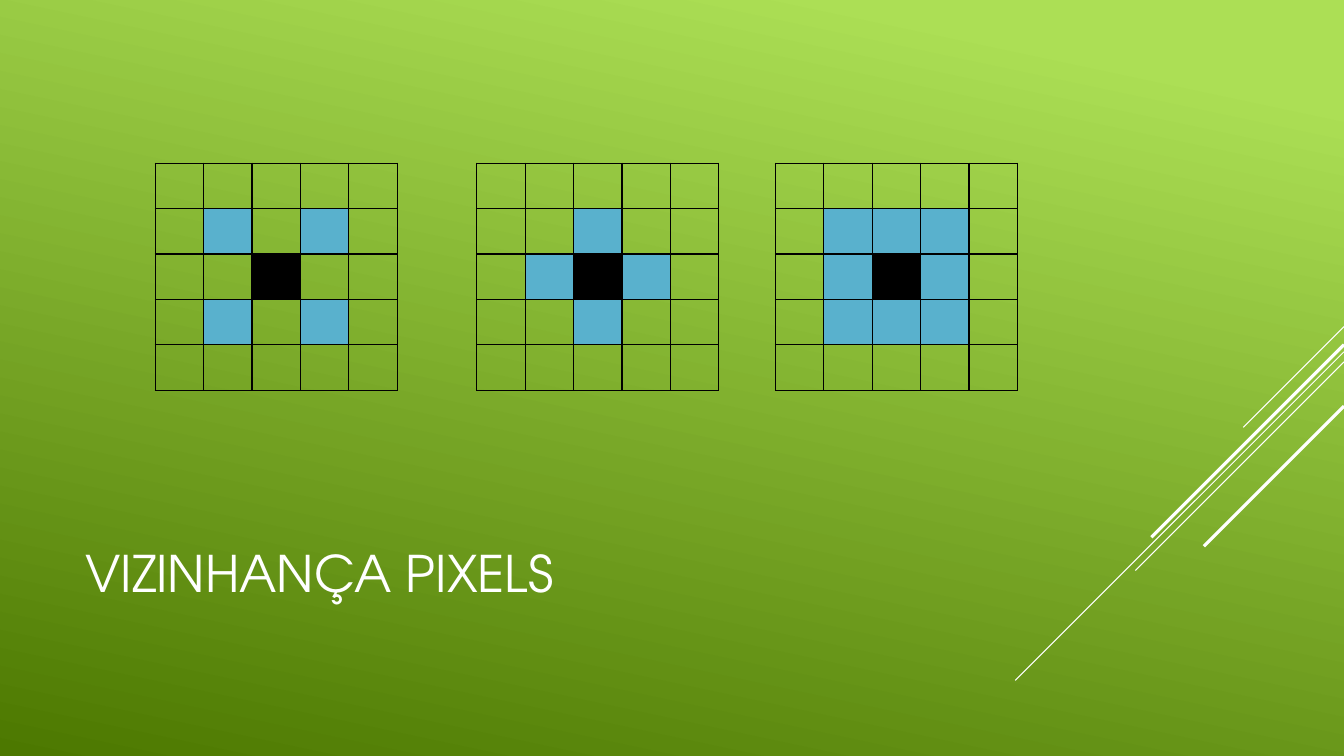
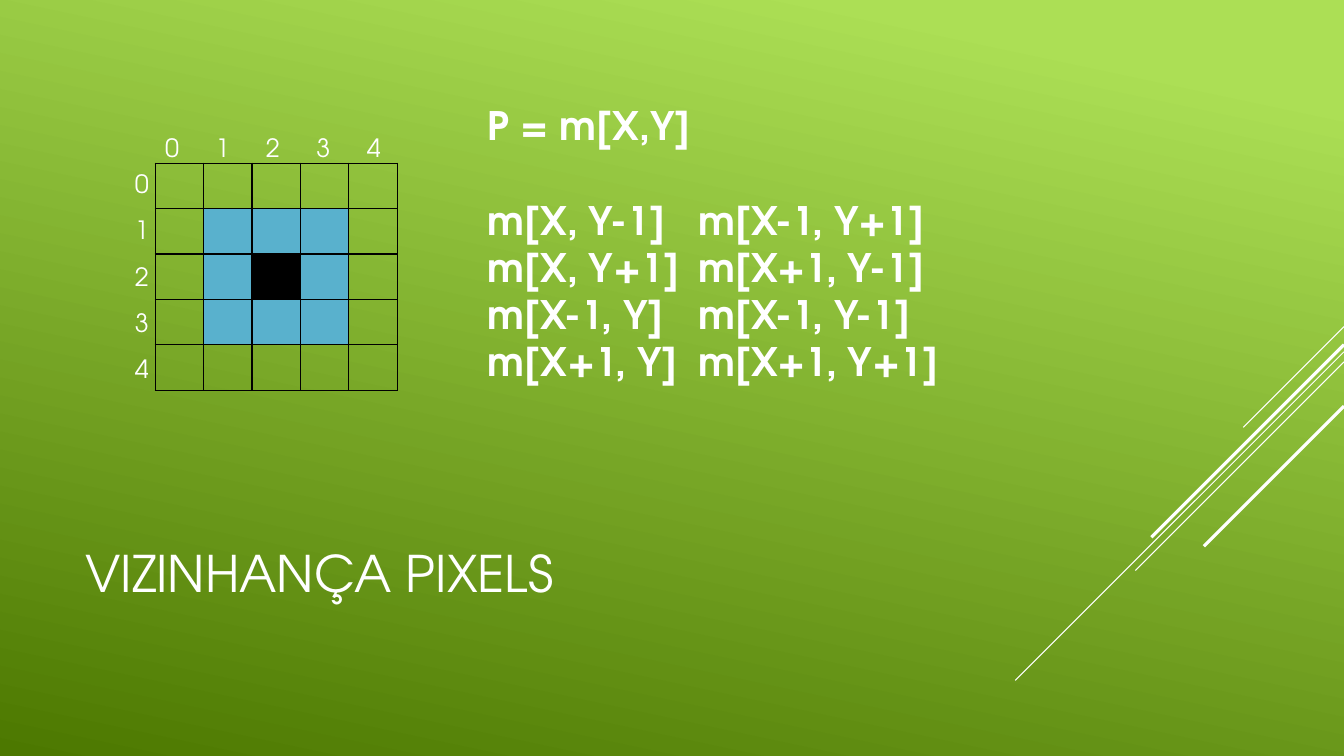
from lxml import etree
from pptx import Presentation
from pptx.dml.color import RGBColor
from pptx.enum import shapes, text
from pptx.oxml import ns
from pptx.util import Inches, Pt

FONT = "TeX Gyre Adventor"
WHITE, BLACK, BLUE = "FFFFFF", "000000", "59B1CD"
GRADIENT = [(0.1, "ACDF55"), (1, "4C7800")]
SLIDE_W, SLIDE_H = 13.33, 7.5
# 45-degree lines falling from the right edge: start height, run, width
DIAGONALS = [(3.24, 1, 0.75), (3.49, 3.26, 0.75), (3.59, 2.07, 0.75),
             (3.42, 1.91, 2.25), (4.03, 1.39, 2.25)]
GRID_N, CELL_W, CELL_H = 5, 0.48, 0.45
GRID_LEFT, GRID_TOP = 1.54, 1.62
LINE_PITCH = 0.47  # one 28 pt line

# Number of axes along which a neighbour may differ from the centre pixel
CORNERS, EDGES, ALL_AROUND = {2}, {1}, {1, 2}


def rgb(hex_color):
    return RGBColor.from_string(hex_color)


def sub(parent, tag, **attrs):
    return etree.SubElement(parent, ns.qn(tag), attrs)


def add_text(s, box, lines, size, bold=False, tab_step=None, **frame_format):
    """Add a text box with one paragraph per line and return its paragraphs."""
    tf = s.shapes.add_textbox(*map(Inches, box)).text_frame
    for name, value in {"word_wrap": True, **frame_format}.items():
        setattr(tf, name, value)
    for i, line in enumerate(lines):
        p = tf.paragraphs[0] if i == 0 else tf.add_paragraph()
        if tab_step:
            tabs = sub(p._p.get_or_add_pPr(), "a:tabLst")
            for stop in range(1, line.count("\t") + 1):
                sub(tabs, "a:tab", pos=str(Inches(stop * tab_step)), algn="l")
        r = p.add_run()
        r.text = line
        for name, value in {"name": FONT, "size": Pt(size), "bold": bold}.items():
            setattr(r.font, name, value)
        r.font.color.rgb = rgb(WHITE)
    return tf.paragraphs


def add_base_slide(prs, title):
    """Add a slide with the shared background, diagonal lines and title."""
    s = prs.slides.add_slide(prs.slide_layouts[6])
    fill = s.background.fill
    fill.gradient()
    fill.gradient_angle = 360 - 102
    for stop, (position, color) in zip(fill.gradient_stops, GRADIENT):
        stop.position = position
        stop.color.rgb = rgb(color)
    for top, run, width in DIAGONALS:
        ends = (SLIDE_W, top, SLIDE_W - run, top + run)
        line = s.shapes.add_connector(shapes.MSO_CONNECTOR.STRAIGHT, *map(Inches, ends))
        line.line.color.rgb = rgb(WHITE)
        line.line.width = Pt(width)
        sub(line._element.spPr, "a:effectLst")
    add_text(s, (0.75, 4.85, 9.33, 1.65), [title], 36,
             vertical_anchor=text.MSO_ANCHOR.MIDDLE)
    return s


def add_cell_borders(cell):
    tc_pr = cell._tc.get_or_add_tcPr()
    for side in "LRTB":
        ln = sub(tc_pr, f"a:ln{side}", w=str(Pt(1)))
        sub(sub(ln, "a:solidFill"), "a:srgbClr", val=BLACK)


def add_pixel_grid(s, left, top, neighbourhood):
    """Draw a pixel grid with a black centre and its neighbours in blue."""
    box = (left, top, GRID_N * CELL_W, GRID_N * CELL_H)
    table = s.shapes.add_table(GRID_N, GRID_N, *map(Inches, box)).table
    table.first_row = table.horz_banding = False
    centre = GRID_N // 2
    for row in range(GRID_N):
        for col in range(GRID_N):
            cell = table.cell(row, col)
            add_cell_borders(cell)
            dx, dy = abs(col - centre), abs(row - centre)
            if dx == dy == 0:
                color = BLACK
            elif max(dx, dy) == 1 and dx + dy in neighbourhood:
                color = BLUE
            else:
                cell.fill.background()
                continue
            cell.fill.solid()
            cell.fill.fore_color.rgb = rgb(color)


def add_grid_labels(s, left, top):
    """Number the columns above and the rows left of a grid at left, top."""
    numbers = [str(i) for i in range(GRID_N)]
    add_text(s, (left, top - 0.36, GRID_N * CELL_W, 0.4), ["\t".join(numbers)], 18,
             tab_step=0.5)
    for i, number in enumerate(numbers):
        add_text(s, (left - 0.3, top + i * 0.46, 0.31, 0.4), [number], 18)


def add_formulas(s, left, top):
    """Write the pixel formula and, below it, two columns of neighbours."""
    paragraphs = add_text(s, (left, top, 3.83, 3.4), [
        "P = m[X,Y]", "m[X, Y-1]", "m[X, Y+1]", "m[X-1, Y]", "m[X+1, Y]"], 28, bold=True)
    paragraphs[1].space_before = Inches(LINE_PITCH)
    add_text(s, (left + 2.09, top + 2 * LINE_PITCH, 3.83, 2.46), [
        "m[X-1, Y+1]", "m[X+1, Y-1]", "m[X-1, Y-1]", "m[X+1, Y+1]"], 28, bold=True)


def neighbourhood_types_slide(prs, title):
    s = add_base_slide(prs, title)
    for left, neighbourhood in [(GRID_LEFT, CORNERS), (4.73, EDGES), (7.69, ALL_AROUND)]:
        add_pixel_grid(s, left, GRID_TOP, neighbourhood)


def coordinates_slide(prs, title):
    s = add_base_slide(prs, title)
    add_formulas(s, 4.74, 0.96)
    add_grid_labels(s, GRID_LEFT, GRID_TOP)
    add_pixel_grid(s, GRID_LEFT, GRID_TOP, ALL_AROUND)


def main():
    prs = Presentation()
    prs.slide_width, prs.slide_height = Inches(SLIDE_W), Inches(SLIDE_H)
    for build_slide in (neighbourhood_types_slide, coordinates_slide):
        build_slide(prs, "VIZINHANÇA PIXELS")
    prs.save("out.pptx")


if __name__ == "__main__":
    main()
